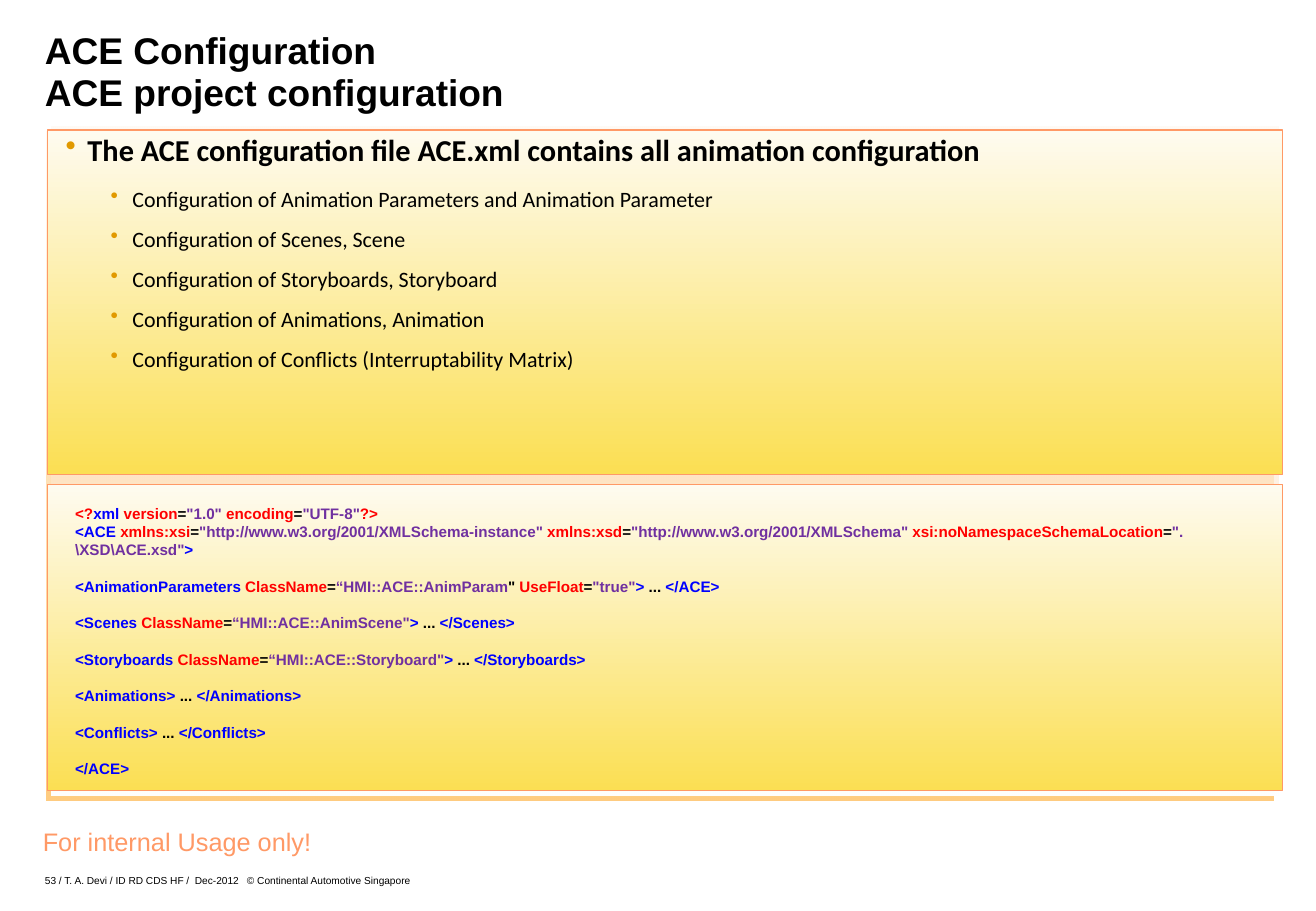
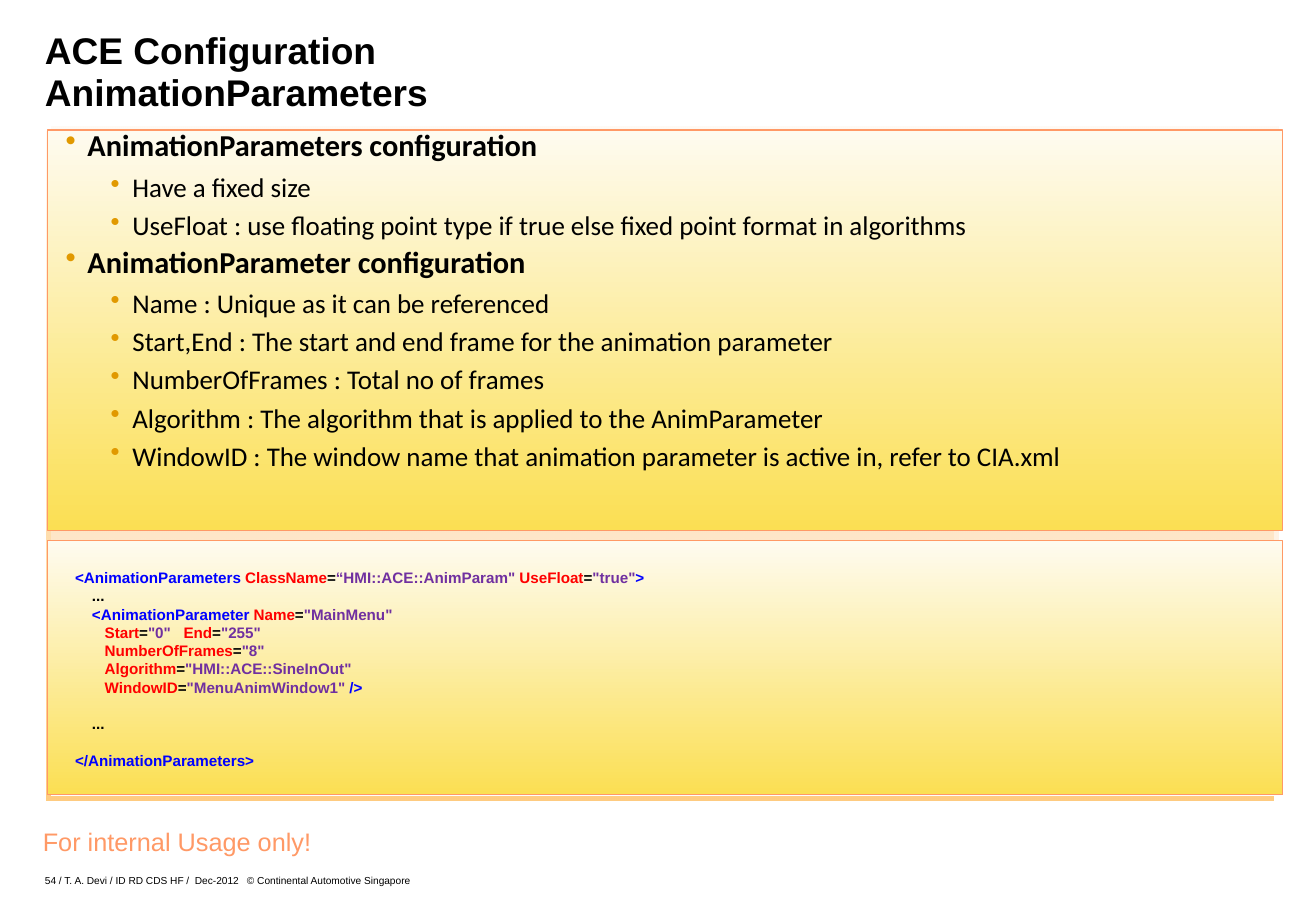
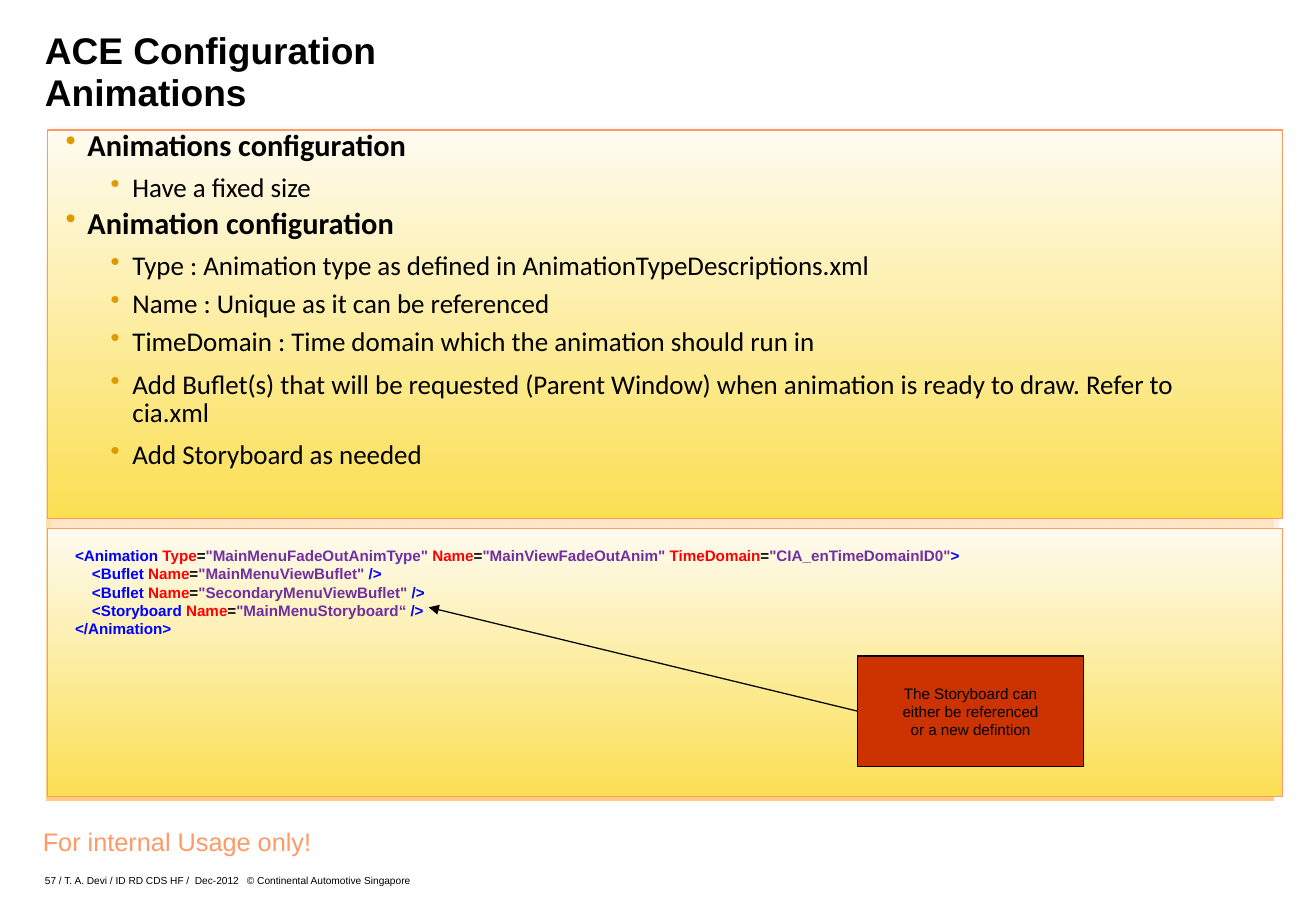
"""Build three configuration slides, each with a bullet panel above a code panel."""
from dataclasses import dataclass
from typing import NamedTuple, Optional

from lxml.etree import SubElement
from pptx import Presentation
from pptx.dml.color import RGBColor
from pptx.enum.shapes import MSO_CONNECTOR as Connector, MSO_SHAPE as Preset
from pptx.enum.text import MSO_ANCHOR as Anchor, MSO_AUTO_SIZE as AutoSize, PP_ALIGN as Align
from pptx.oxml.ns import qn
from pptx.shapes.autoshape import Shape
from pptx.slide import Slide
from pptx.text.text import TextFrame, _Paragraph as Paragraph
from pptx.util import Emu, Inches, Pt

COLUMNS, ROWS = 130, 90
CELL = Inches(1) / 12


@dataclass(frozen=True)
class Theme:
    """Colours, fonts and type sizes of the presentation."""

    ink: str = "000000"
    tag: str = "0000FF"
    attribute: str = "FF0000"
    value: str = "7030A0"
    bullet: str = "E19900"
    accent: str = "FF9966"
    shadow: str = "FF9900"
    callout: str = "CC3300"
    band: tuple[str, str] = ("FFCC99", "FFFFFF")
    panel: tuple[str, str] = ("FEFBF0", "FBDF53")
    font: str = "Arial"
    bullet_font: str = "Calibri"
    title_size: float = 22
    heading_size: float = 18
    notice_size: float = 15
    code_size: float = 9
    footer_size: float = 6
    hairline: float = 0.75
    code_gap: float = 10.8
    bullet_gap: float = 0.55


THEME = Theme()


class Box(NamedTuple):
    """A rectangle in grid columns and rows."""

    left: float
    top: float
    width: float
    height: float

    def lengths(self) -> tuple[Emu, ...]:
        """Return the four sides as slide lengths."""
        return tuple(grid(cells) for cells in self)


class Run(NamedTuple):
    """A coloured piece of code."""

    text: str
    colour: str


class CodeLine(NamedTuple):
    """A line of code, optionally set apart from the line above."""

    runs: list[Run]
    apart: bool = False


class Bullet(NamedTuple):
    """A bulleted line: level 0 is a bold heading."""

    text: str
    level: int = 1
    spacing: Optional[float] = None


@dataclass(frozen=True)
class Page:
    """The content of one slide and the rows where its panels end."""

    number: int
    topic: str
    bullets: list[Bullet]
    bullet_size: float
    spacing: float
    bullets_bottom: float
    code: list[CodeLine]
    code_top: float
    code_rows: float
    code_bottom: float
    callout: tuple[str, ...] = ()


PANEL_LEFT, PANEL_TOP, PANEL_COLUMNS, PANEL_GAP = 4.7, 12.84, 122, 1
BAND = Box(5.04, 12.5, 121.3, 66.1)
TITLE = Box(4.44, 3, 121.2, 8.28)
BULLETS = Box(6.48, 13.8, 116.64, 30.72)
NOTICE = Box(3, 81, 29, 4.2)
FOOTER = Box(4.44, 85.68, 41.16, 1.92)
FOOTER_TABS = (14.82, 19.96)
CALLOUT = Box(84.72, 64.8, 22.32, 10.92)
ARROW_TIP = (42.36, 60)
CODE_LEFT, CODE_COLUMNS = 6.24, 116.5


def grid(cells: float) -> Emu:
    """Turn grid cells into a slide length."""
    return Emu(round(cells * CELL))


def tag(text: str) -> Run:
    """Return a piece of markup."""
    return Run(text, THEME.tag)


def name(text: str) -> Run:
    """Return an attribute name."""
    return Run(text, THEME.attribute)


def plain(text: str) -> Run:
    """Return a piece of plain text."""
    return Run(text, THEME.ink)


def pair(key: str, value: str) -> list[Run]:
    """Return an attribute with its value."""
    return [name(key), plain("="), Run(value, THEME.value)]


def add_run(paragraph: Paragraph, text: str, size: float, colour: str = THEME.ink,
            bold: bool = False, font: str = THEME.font) -> None:
    """Add one formatted run to a paragraph."""
    run = paragraph.add_run()
    run.text = text
    run.font.size, run.font.bold, run.font.name = Pt(size), bold, font
    run.font.color.rgb = RGBColor.from_string(colour)


def next_paragraph(frame: TextFrame, index: int) -> Paragraph:
    """Return the first paragraph of a frame or a new one."""
    return frame.paragraphs[0] if index == 0 else frame.add_paragraph()


def set_frame(frame: TextFrame, anchor: Anchor = Anchor.TOP, inset: bool = False,
              wrap: bool = True) -> TextFrame:
    """Set anchor, insets and wrapping of a frame."""
    frame.auto_size, frame.word_wrap, frame.vertical_anchor = AutoSize.NONE, wrap, anchor
    frame.margin_left = frame.margin_right = Inches(0.1 if inset else 0)
    frame.margin_top = frame.margin_bottom = Inches(0.05 if inset else 0)
    return frame


def add_text(slide: Slide, box: Box, **options) -> TextFrame:
    """Add a text box and return its frame."""
    return set_frame(slide.shapes.add_textbox(*box.lengths()).text_frame, **options)


def add_rectangle(slide: Slide, box: Box, line: Optional[str] = None) -> Shape:
    """Add a rectangle without shadow."""
    shape = slide.shapes.add_shape(Preset.RECTANGLE, *box.lengths())
    shape.shadow.inherit = False
    if line:
        shape.line.color.rgb = RGBColor.from_string(line)
        shape.line.width = Pt(THEME.hairline)
    else:
        shape.line.fill.background()
    return shape


def set_gradient(shape: Shape, colours: tuple[str, str]) -> None:
    """Fill a shape from top to bottom."""
    shape.fill.gradient()
    shape.fill.gradient_angle = 270
    for stop, colour in zip(shape.fill.gradient_stops, colours):
        stop.color.rgb = RGBColor.from_string(colour)


def add_panel(slide: Slide, top: float, bottom: float) -> None:
    """Add a yellow panel between two rows."""
    box = Box(PANEL_LEFT, top, PANEL_COLUMNS, bottom - top)
    set_gradient(add_rectangle(slide, box, THEME.accent), THEME.panel)


def add_band(slide: Slide) -> None:
    """Add the shaded area behind the panels."""
    band = add_rectangle(slide, BAND)
    set_gradient(band, THEME.band)
    first_colour = next(band.element.spPr.iter(qn("a:srgbClr")))
    SubElement(first_colour, qn("a:alpha"), val="10000")
    effects = band.element.spPr.find(qn("a:effectLst"))
    shadow = SubElement(effects, qn("a:outerShdw"), dist=str(Pt(4.2)), dir=str(135 * 60000),
                        algn="ctr", rotWithShape="0")
    colour = SubElement(shadow, qn("a:srgbClr"), val=THEME.shadow)
    SubElement(colour, qn("a:alpha"), val="50000")


def add_title(slide: Slide, topic: str) -> None:
    """Place and fill the title placeholder."""
    title = slide.shapes.title
    title.left, title.top, title.width, title.height = TITLE.lengths()
    paragraph = set_frame(title.text_frame, Anchor.BOTTOM).paragraphs[0]
    paragraph.alignment, paragraph.line_spacing = Align.LEFT, Pt(24.8)
    add_run(paragraph, "ACE Configuration", THEME.title_size, bold=True)
    paragraph.add_line_break()
    add_run(paragraph, topic, THEME.title_size, bold=True)


def add_footer(slide: Slide, number: int) -> None:
    """Add the usage notice and the footer line."""
    notice = add_text(slide, NOTICE, inset=True, wrap=False).paragraphs[0]
    notice.alignment = Align.CENTER
    add_run(notice, "For internal Usage only!", THEME.notice_size, THEME.accent)
    footer = add_text(slide, FOOTER, anchor=Anchor.BOTTOM).paragraphs[0]
    tabs = SubElement(footer._p.get_or_add_pPr(), qn("a:tabLst"))
    for column in FOOTER_TABS:
        SubElement(tabs, qn("a:tab"), pos=str(grid(column)), algn="l")
    footer.line_spacing = Pt(5.5)
    add_run(footer, f"{number} / T. A. Devi / ID RD CDS HF /\tDec-2012\t"
            "© Continental Automotive Singapore", THEME.footer_size)


def add_bullets(slide: Slide, page: Page) -> None:
    """Add the bulleted text of a page."""
    frame = add_text(slide, BULLETS)
    for index, bullet in enumerate(page.bullets):
        heading = bullet.level == 0
        size = THEME.heading_size if heading else page.bullet_size
        paragraph = next_paragraph(frame, index)
        paragraph.level = bullet.level
        properties = paragraph._p.get_or_add_pPr()
        properties.set("marL", str(Inches(0.18 if heading else 0.55)))
        properties.set("indent", str(Inches(-0.18)))
        colour = SubElement(properties, qn("a:buClr"))
        SubElement(colour, qn("a:srgbClr"), val=THEME.bullet)
        SubElement(properties, qn("a:buChar"), char="•")
        paragraph.line_spacing = Pt(bullet.spacing or page.spacing)
        paragraph.space_after = Pt(size * THEME.bullet_gap)
        add_run(paragraph, bullet.text, size, bold=heading, font=THEME.bullet_font)


def add_code(slide: Slide, page: Page) -> None:
    """Add the coloured code of a page."""
    box = Box(CODE_LEFT, page.code_top, CODE_COLUMNS, page.code_rows)
    frame = add_text(slide, box, inset=True)
    for index, line in enumerate(page.code):
        paragraph = next_paragraph(frame, index)
        if line.apart:
            paragraph.space_before = Pt(THEME.code_gap)
        for run in line.runs:
            add_run(paragraph, run.text, THEME.code_size, run.colour, bold=True)


def add_callout(slide: Slide, lines: tuple[str, ...]) -> None:
    """Add a callout with an arrow to the code."""
    callout = add_rectangle(slide, CALLOUT, THEME.ink)
    callout.fill.solid()
    callout.fill.fore_color.rgb = RGBColor.from_string(THEME.callout)
    frame = set_frame(callout.text_frame, Anchor.MIDDLE, inset=True, wrap=False)
    for index, text in enumerate(lines):
        paragraph = next_paragraph(frame, index)
        paragraph.alignment = Align.CENTER
        add_run(paragraph, text, THEME.code_size)
    tip = [grid(cells) for cells in ARROW_TIP]
    arrow = slide.shapes.add_connector(Connector.STRAIGHT, 0, 0, *tip)
    arrow.begin_connect(callout, 1)
    arrow.line.color.rgb = RGBColor.from_string(THEME.ink)
    arrow.line.width = Pt(THEME.hairline)
    SubElement(arrow.line._get_or_add_ln(), qn("a:tailEnd"), type="triangle")
    SubElement(arrow._element.spPr, qn("a:effectLst"))


def element(label: str, class_name: str = "") -> CodeLine:
    """Return a folded element on one line, set apart."""
    if class_name:
        start = [tag(f"<{label} "), *pair("ClassName", class_name), tag(">"), plain(" ... ")]
    else:
        start = [tag(f"<{label}> "), plain("... ")]
    return CodeLine([*start, tag(f"</{label}>")], apart=True)


def setting(key: str, value: str, *rest: Run) -> CodeLine:
    """Return an indented attribute line."""
    return CodeLine([plain("       "), *pair(key, value), *rest])


def child(label: str, value: str) -> CodeLine:
    """Return an indented empty element with a name."""
    return CodeLine([tag(f"    <{label} "), *pair("Name", value), tag("/>")])


PAGES = [
    Page(53, "ACE project configuration", [
        Bullet("The ACE configuration file ACE.xml contains all animation configuration", 0),
        Bullet("Configuration of Animation Parameters and Animation Parameter"),
        Bullet("Configuration of Scenes, Scene"),
        Bullet("Configuration of Storyboards, Storyboard"),
        Bullet("Configuration of Animations, Animation"),
        Bullet("Configuration of Conflicts (Interruptability Matrix)"),
    ], 13, 16.5, 46.85, [
        CodeLine([name("<?"), tag("xml "), *pair("version", '"1.0" '),
                  *pair("encoding", '"UTF-8"'), name("?>")]),
        CodeLine([tag("<ACE "),
                  *pair("xmlns:xsi", '"http://www.w3.org/2001/XMLSchema-instance" '),
                  *pair("xmlns:xsd", '"http://www.w3.org/2001/XMLSchema" '),
                  *pair("xsi:noNamespaceSchemaLocation", '".\\XSD\\ACE.xsd"'), tag(">")]),
        CodeLine([tag("<AnimationParameters "), *pair("ClassName", "“HMI::ACE::AnimParam"),
                  plain('" '), *pair("UseFloat", '"true"'), tag(">"), plain(" ... "),
                  tag("</ACE>")], apart=True),
        element("Scenes", '“HMI::ACE::AnimScene"'),
        element("Storyboards", '“HMI::ACE::Storyboard"'),
        element("Animations"),
        element("Conflicts"),
        CodeLine([tag("</ACE>")], apart=True),
    ], 49.2, 30.6, 78.1),
    Page(54, "AnimationParameters", [
        Bullet("AnimationParameters configuration", 0),
        Bullet("Have a fixed size"),
        Bullet("UseFloat : use floating point type if true else fixed point format in algorithms"),
        Bullet("AnimationParameter configuration", 0),
        Bullet("Name : Unique as it can be referenced"),
        Bullet("Start,End : The start and end frame for the animation parameter"),
        Bullet("NumberOfFrames : Total no of frames"),
        Bullet("Algorithm : The algorithm that is applied to the AnimParameter"),
        Bullet("WindowID : The window name that animation parameter is active in, "
               "refer to CIA.xml"),
    ], 16, 13.8, 52.4, [
        CodeLine([tag("<AnimationParameters "), *pair("ClassName", '“HMI::ACE::AnimParam" '),
                  *pair("UseFloat", '"true"'), tag(">")]),
        CodeLine([plain("    ...")]),
        CodeLine([tag("    <AnimationParameter "), *pair("Name", '"MainMenu"')]),
        setting("Start", '"0"   ', *pair("End", '"255"')),
        setting("NumberOfFrames", '"8"'),
        setting("Algorithm", '"HMI::ACE::SineInOut"'),
        setting("WindowID", '"MenuAnimWindow1" ', tag("/>")),
        CodeLine([plain("    ...")], apart=True),
        CodeLine([tag("</AnimationParameters>")], apart=True),
    ], 55.56, 21.36, 78.5),
    Page(57, "Animations", [
        Bullet("Animations configuration", 0),
        Bullet("Have a fixed size"),
        Bullet("Animation configuration", 0),
        Bullet("Type : Animation type as defined in AnimationTypeDescriptions.xml"),
        Bullet("Name : Unique as it can be referenced"),
        Bullet("TimeDomain : Time domain which the animation should run in"),
        Bullet("Add Buflet(s) that will be requested (Parent Window) when animation is ready "
               "to draw. Refer to cia.xml", spacing=16.5),
        Bullet("Add Storyboard as needed", spacing=16.5),
    ], 16, 13.8, 51.24, [
        CodeLine([tag("<Animation "), *pair("Type", '"MainMenuFadeOutAnimType" '),
                  *pair("Name", '"MainViewFadeOutAnim" '),
                  *pair("TimeDomain", '"CIA_enTimeDomainID0"'), tag(">")]),
        child("Buflet", '"MainMenuViewBuflet" '),
        child("Buflet", '"SecondaryMenuViewBuflet" '),
        child("Storyboard", '"MainMenuStoryboard“ '),
        CodeLine([tag("</Animation>")]),
    ], 53.4, 10.56, 78.7,
        ("The Storyboard can", "either be referenced", "or a new defintion")),
]


def main() -> None:
    """Build and save the presentation."""
    presentation = Presentation()
    presentation.slide_width, presentation.slide_height = grid(COLUMNS), grid(ROWS)
    title_only = presentation.slide_layouts[5]
    for page in PAGES:
        slide = presentation.slides.add_slide(title_only)
        add_band(slide)
        add_panel(slide, page.bullets_bottom + PANEL_GAP, page.code_bottom)
        add_panel(slide, PANEL_TOP, page.bullets_bottom)
        add_title(slide, page.topic)
        add_code(slide, page)
        add_bullets(slide, page)
        if page.callout:
            add_callout(slide, page.callout)
        add_footer(slide, page.number)
    presentation.save("out.pptx")


if __name__ == "__main__":
    main()
